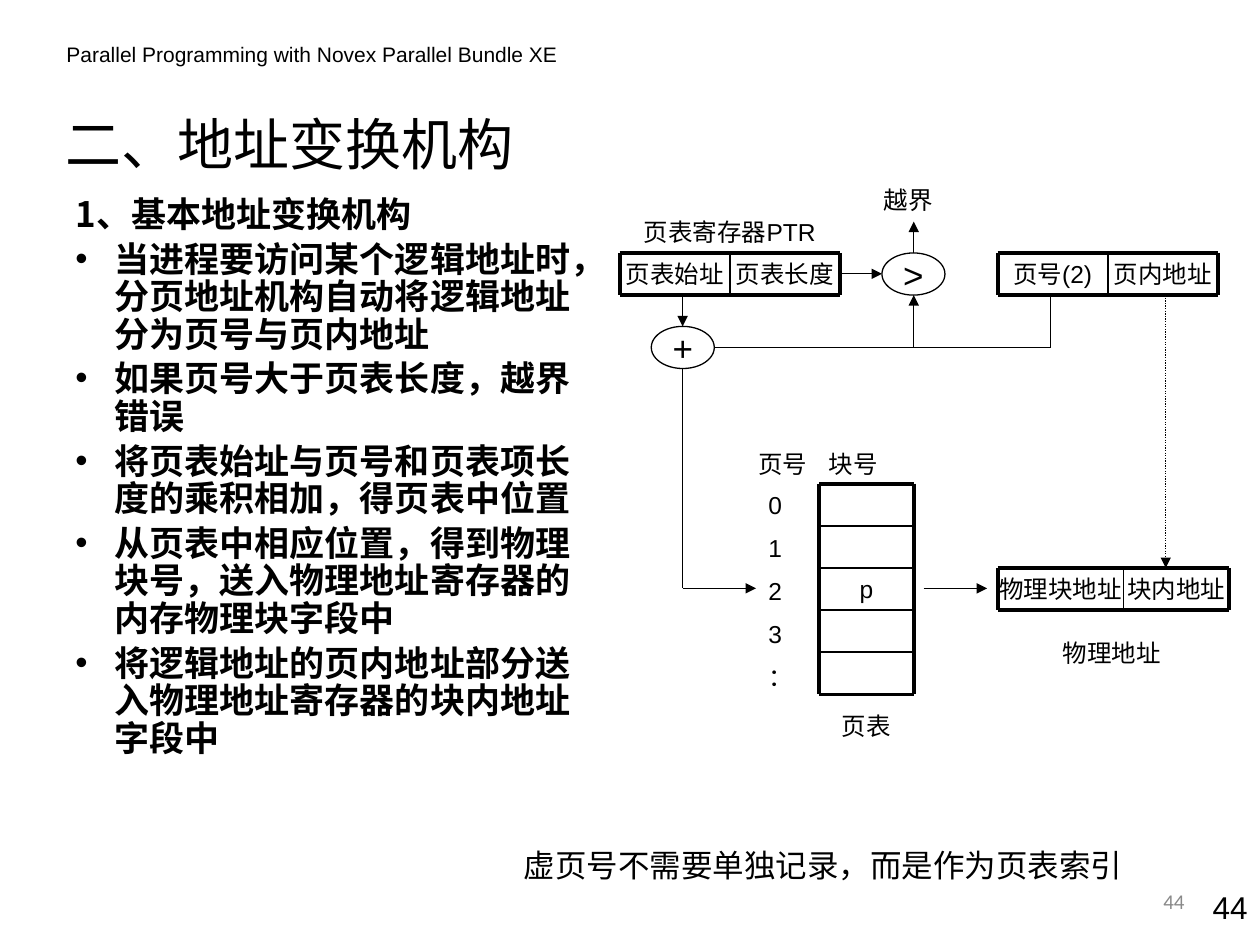
from lxml.etree import SubElement
from pptx import Presentation
from pptx.dml.color import RGBColor
from pptx.enum.dml import MSO_LINE
from pptx.enum.shapes import MSO_CONNECTOR as CONN, MSO_SHAPE as SHAPE
from pptx.enum.text import MSO_ANCHOR as ANCHOR, PP_ALIGN as ALIGN
from pptx.oxml.ns import qn
from pptx.util import Cm, Pt

BLACK = RGBColor(0, 0, 0)
GRAY = RGBColor(0x89, 0x89, 0x89)
CJK = "Noto Sans CJK SC"
ROW = 0.85
REG_Y = 5.1
PHYS_Y = 11.45
TABLE_X, TABLE_Y = 16.51, 9.75


class Deck:
    def __init__(self):
        self.prs = Presentation()
        self.prs.slide_width, self.prs.slide_height = Cm(25.4), Cm(19.05)
        self.s = self.prs.slides.add_slide(self.prs.slide_layouts[6])

    def text(self, x, y, w, h, lines, size=14, font="Arial", color=BLACK,
             bold=False, align=ALIGN.LEFT, anchor=ANCHOR.TOP,
             inset=(0.25, 0.13), gap=0, spacing=None):
        tf = self.s.shapes.add_textbox(Cm(x), Cm(y), Cm(w), Cm(h)).text_frame
        tf.word_wrap = True
        tf.vertical_anchor = anchor
        tf.margin_left = tf.margin_right = Cm(inset[0])
        tf.margin_top = tf.margin_bottom = Cm(inset[1])
        tf.text = lines if isinstance(lines, str) else "\n".join(lines)
        for i, p in enumerate(tf.paragraphs):
            p.alignment = align
            if spacing:
                p.line_spacing = Pt(spacing)
            if i:
                p.space_before = Pt(gap)
            for r in p.runs:
                r.font.size, r.font.bold, r.font.name = Pt(size), bold, font
                r.font.color.rgb = color
                SubElement(r.font._element, qn("a:ea"), typeface=CJK)
        return tf

    def label(self, x, y, w, txt, **style):
        return self.text(x, y, w, ROW, txt, align=ALIGN.CENTER, **style)

    def bullets(self, x, y, w, h, heading, items):
        tf = self.text(x, y, w, h, [heading] + items, size=20, font=CJK,
                       bold=True, gap=4, spacing=21.5)
        for i, p in enumerate(tf.paragraphs):
            pPr = p._p.get_or_add_pPr()
            pPr.set("marL", str(Cm(0.79)))
            pPr.set("indent", str(-Cm(0.79)))
            if i:
                SubElement(pPr, qn("a:buFont"), typeface="Arial")
                SubElement(pPr, qn("a:buChar"), char="•")

    def line(self, x1, y1, x2, y2, width=0.75, arrow=False, dotted=False):
        c = self.s.shapes.add_connector(CONN.STRAIGHT, Cm(x1), Cm(y1), Cm(x2), Cm(y2))
        c.line.color.rgb = BLACK
        c.line.width = Pt(width)
        if dotted:
            c.line.dash_style = MSO_LINE.ROUND_DOT
        if arrow:
            SubElement(c.line._get_or_add_ln(), qn("a:tailEnd"), type="triangle")
        SubElement(c._element.spPr, qn("a:effectLst"))

    def grid(self, x, y, widths, heights):
        right, bottom = x + sum(widths), y + sum(heights)
        for i in range(len(heights) + 1):
            at = y + sum(heights[:i])
            self.line(x, at, right, at, 1 if 0 < i < len(heights) else 2.25)
        for i in range(len(widths) + 1):
            at = x + sum(widths[:i])
            self.line(at, y, at, bottom, 1 if 0 < i < len(widths) else 2.25)

    def register(self, x, y, widths, names):
        for i, name in enumerate(names):
            self.label(x + sum(widths[:i]), y, widths[i], name, inset=(0, 0.13))
        self.grid(x, y, widths, [ROW])

    def operator(self, x, y, sign):
        sp = self.s.shapes.add_shape(SHAPE.OVAL, Cm(x), Cm(y), Cm(1.27), Cm(ROW))
        sp.shadow.inherit = False
        sp.fill.background()
        sp.line.color.rgb = BLACK
        sp.line.width = Pt(0.75)
        self.label(x, y, 1.27, sign, size=20, inset=(0.25, 0))


def main():
    d = Deck()
    d.text(1.09, 0.71, 10.41, 0.76, "Parallel Programming with Novex Parallel Bundle XE", size=12)
    d.text(1.07, 1.93, 14.4, 1.91, "二、地址变换机构", size=32, font=CJK, anchor=ANCHOR.MIDDLE)
    d.bullets(1.27, 3.84, 10.8, 12.07, "1、基本地址变换机构", [
        "当进程要访问某个逻辑地址时，分页地址机构自动将逻辑地址分为页号与页内地址",
        "如果页号大于页表长度，越界错误",
        "将页表始址与页号和页表项长度的乘积相加，得页表中位置",
        "从页表中相应位置，得到物理块号，送入物理地址寄存器的内存物理块字段中",
        "将逻辑地址的页内地址部分送入物理地址寄存器的块内地址字段中",
    ])

    d.register(12.49, REG_Y, [2.22, 2.22], ["页表始址", "页表长度"])
    d.register(20.11, REG_Y, [2.22, 2.22], ["页号(2)", "页内地址"])
    d.register(20.11, PHYS_Y, [2.54, 2.12], ["物理块地址", "块内地址"])
    d.label(12.49, 4.25, 4.44, "页表寄存器PTR")
    d.label(17.36, 3.61, 1.91, "越界")
    d.text(21.17, 12.73, 2.75, ROW, "物理地址")

    d.text(15.04, 8.92, 1.5, ROW, "页号")
    d.text(16.46, 8.92, 1.5, ROW, "块号")
    d.text(15.24, TABLE_Y, 1.27, 4.39, ["0", "1", "2", "3", "："], gap=7.8)
    d.grid(TABLE_X, TABLE_Y, [1.91], [ROW] * 5)
    d.label(TABLE_X, TABLE_Y + 2 * ROW, 1.91, "p")
    d.label(TABLE_X, 14.2, 1.91, "页表")

    d.operator(17.78, REG_Y, ">")
    d.operator(13.13, 6.58, "+")

    for ends in [(18.42, 5.1, 18.42, 4.47), (18.42, 7.01, 18.42, 5.95),
                 (16.93, 5.52, 17.78, 5.52), (13.76, 5.95, 13.76, 6.58),
                 (13.76, 11.86, 15.24, 11.86), (18.62, 11.86, 19.9, 11.86)]:
        d.line(*ends, arrow=True)
    for ends in [(21.17, 5.95, 21.17, 7.01), (21.17, 7.01, 14.4, 7.01),
                 (13.76, 7.43, 13.76, 11.86)]:
        d.line(*ends)
    d.line(23.5, 5.95, 23.5, PHYS_Y, arrow=True, dotted=True)

    d.text(10.31, 16.92, 13.41, 1.02, "虚页号不需要单独记录，而是作为页表索引", size=18)
    d.text(18.21, 17.65, 5.92, 1.02, "44", size=12, font="Calibri", color=GRAY,
           align=ALIGN.RIGHT, anchor=ANCHOR.MIDDLE)
    d.text(23.7, 17.78, 1.7, 1.27, "44", size=18, align=ALIGN.RIGHT)
    d.prs.save("out.pptx")


if __name__ == "__main__":
    main()
